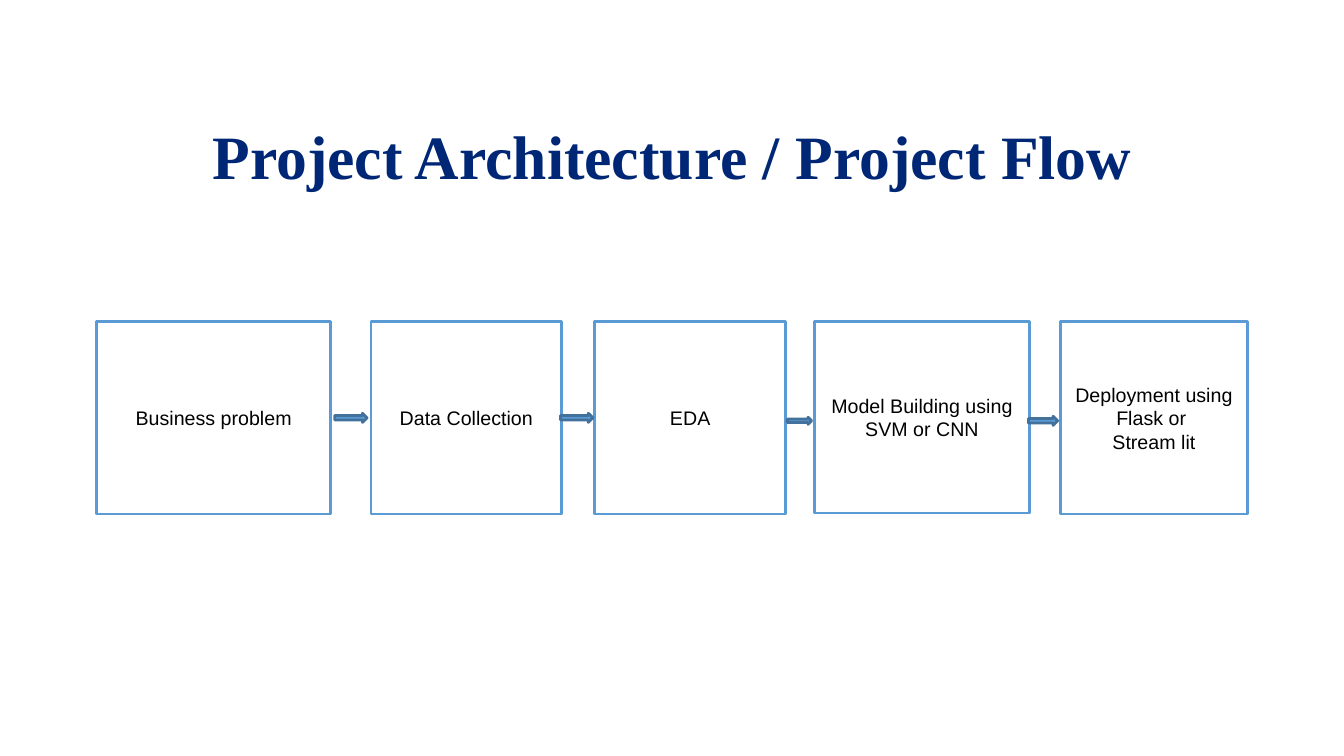
from dataclasses import dataclass

from pptx import Presentation
from pptx import util as u
from pptx.dml.color import RGBColor
from pptx.enum import shapes, text


@dataclass(frozen=True)
class Theme:
    navy: str = "002776"
    blue: str = "5B9BD5"
    steel: str = "42719B"
    white: str = "FFFFFF"
    black: str = "000000"
    title_font: str = "Times New Roman"
    body_font: str = "Arial"
    title_size: int = 44
    body_size: int = 14
    line_width: int = 2


def apply(target, values):
    for name, value in values.items():
        setattr(target, name, value)


class FlowSlide:
    def __init__(self, slide, theme):
        self.slide = slide
        self.theme = theme

    def label(self, frame, lines, font, size, color, bold=False, spacing=1.0):
        apply(frame, {
            "word_wrap": True,
            "vertical_anchor": text.MSO_ANCHOR.MIDDLE,
            "margin_left": u.Inches(0.1),
            "margin_right": u.Inches(0.1),
            "margin_top": u.Inches(0.05),
            "margin_bottom": u.Inches(0.05),
        })
        for index, line in enumerate(lines):
            paragraph = frame.add_paragraph() if index else frame.paragraphs[0]
            apply(paragraph, {"alignment": text.PP_ALIGN.CENTER, "line_spacing": spacing})
            run = paragraph.add_run()
            run.text = line
            apply(run.font, {"name": font, "size": u.Pt(size), "bold": bold})
            run.font.color.rgb = RGBColor.from_string(color)

    def title(self, words, *box):
        heading = self.slide.shapes.add_textbox(*map(u.Inches, box))
        theme = self.theme
        self.label(heading.text_frame, [words], theme.title_font, theme.title_size,
                   theme.navy, bold=True, spacing=0.9)

    def shape(self, kind, box, fill, line):
        drawn = self.slide.shapes.add_shape(kind, *map(u.Inches, box))
        drawn.shadow.inherit = False
        drawn.fill.solid()
        drawn.fill.fore_color.rgb = RGBColor.from_string(fill)
        drawn.line.color.rgb = RGBColor.from_string(line)
        drawn.line.width = u.Pt(self.theme.line_width)
        return drawn

    def stage(self, lines, *box):
        theme = self.theme
        stage = self.shape(shapes.MSO_SHAPE.RECTANGLE, box, theme.white, theme.blue)
        self.label(stage.text_frame, lines, theme.body_font, theme.body_size, theme.black)

    def arrow(self, *box):
        self.shape(shapes.MSO_SHAPE.RIGHT_ARROW, box, self.theme.blue, self.theme.steel)


STAGE_TOP = 3.19
STAGES = [
    (["Business problem"], 0.96, 2.32, 1.91),
    (["Data Collection"], 3.68, 1.89, 1.91),
    (["EDA"], 5.9, 1.89, 1.91),
    (["Model Building using SVM or CNN"], 8.08, 2.13, 1.9),
    (["Deployment using Flask or ", "Stream lit"], 10.52, 1.85, 1.91),
]
ARROWS = [
    (3.32, 4.1, 0.32, 0.09),
    (5.56, 4.1, 0.32, 0.09),
    (7.81, 4.14, 0.24, 0.07),
    (10.2, 4.13, 0.29, 0.09),
]


def main():
    deck = Presentation()
    apply(deck, {"slide_width": u.Inches(13.33), "slide_height": u.Inches(7.5)})
    flow = FlowSlide(deck.slides.add_slide(deck.slide_layouts[6]), Theme())
    flow.title("Project Architecture / Project Flow", 0.92, 0.86, 11.5, 1.45)
    for lines, left, width, height in STAGES:
        flow.stage(lines, left, STAGE_TOP, width, height)
    for box in ARROWS:
        flow.arrow(*box)
    deck.save("out.pptx")


if __name__ == "__main__":
    main()
